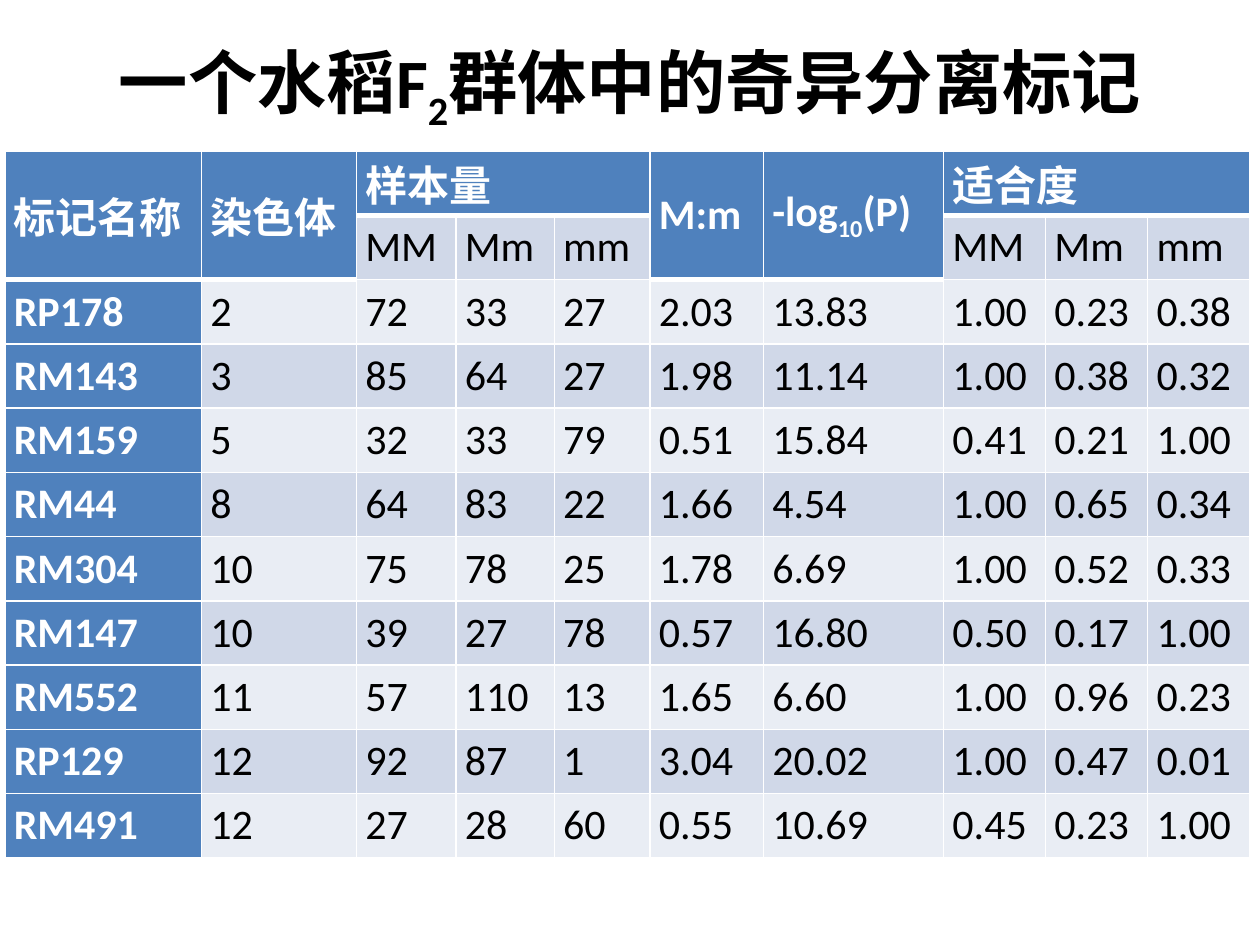
from pptx import Presentation
from pptx import util as u
from pptx.dml.color import RGBColor
from pptx.enum import text
from pptx.oxml import parse_xml
from pptx.oxml.ns import nsdecls

FONT = "Calibri"
WHITE, BLACK, BLUE = "FFFFFF", "000000", "4F81BD"
BANDS = ["E9EDF4", "D0D8E8"]
ROW_HEIGHT = 0.51
COLUMN_WIDTHS = [1.56, 1.23, 0.79, 0.78, 0.76, 0.9, 1.43, 0.81, 0.81, 0.81]
TALL_COLUMNS = (0, 1, 5, 6)      # headings two rows high
WIDE_COLUMNS = (2, 7)            # headings three columns wide
JUSTIFIED_COLUMNS = (1, 6)

HEADINGS = {
    0: ["标记名称"], 1: ["染色体"], 2: ["样本量"], 5: ["M:m"],
    6: ["-log", "10", "(P)"], 7: ["适合度"],
}
MARKERS = """
RP178 2 72 33 27 2.03 13.83 1.00 0.23 0.38
RM143 3 85 64 27 1.98 11.14 1.00 0.38 0.32
RM159 5 32 33 79 0.51 15.84 0.41 0.21 1.00
RM44 8 64 83 22 1.66 4.54 1.00 0.65 0.34
RM304 10 75 78 25 1.78 6.69 1.00 0.52 0.33
RM147 10 39 27 78 0.57 16.80 0.50 0.17 1.00
RM552 11 57 110 13 1.65 6.60 1.00 0.96 0.23
RP129 12 92 87 1 3.04 20.02 1.00 0.47 0.01
RM491 12 27 28 60 0.55 10.69 0.45 0.23 1.00
"""


def color(value):
    return RGBColor.from_string(value)


def write(para, pieces, size, ink, bold):
    """Add the pieces as runs; every second piece is a subscript."""
    for index, piece in enumerate(pieces):
        span = para.add_run()
        span.text = piece
        span.font.name = FONT
        span.font.size = u.Pt(size)
        span.font.bold = bold
        span.font.color.rgb = color(ink)
        if index % 2:
            span.font._element.set("baseline", "-25000")


deck = Presentation()
deck.slide_width, deck.slide_height = u.Inches(10), u.Inches(7.5)
page = deck.slides.add_slide(deck.slide_layouts[6])

# Title
box = page.shapes.add_textbox(u.Inches(0.5), u.Inches(0.3), u.Inches(9), u.Inches(0.77))
frame = box.text_frame
frame.word_wrap = True
frame.vertical_anchor = text.MSO_ANCHOR.MIDDLE
frame.paragraphs[0].alignment = text.PP_ALIGN.CENTER
write(frame.paragraphs[0], ["一个水稻F", "2", "群体中的奇异分离标记"], 39.6, BLACK, True)

# Table contents: two heading rows, then one row per marker
genotypes = {column + step: [name] for column in WIDE_COLUMNS
             for step, name in enumerate(["MM", "Mm", "mm"])}
rows = [HEADINGS, genotypes]
rows += [{column: [value] for column, value in enumerate(line.split())}
         for line in MARKERS.strip().splitlines()]

# Table grid
table = page.shapes.add_table(
    len(rows), len(COLUMN_WIDTHS), u.Inches(0.04), u.Inches(1.2),
    u.Inches(sum(COLUMN_WIDTHS)), u.Inches(ROW_HEIGHT * len(rows))).table
for column, width in enumerate(COLUMN_WIDTHS):
    table.columns[column].width = u.Inches(width)
for row in table.rows:
    row.height = u.Inches(ROW_HEIGHT)
for column in TALL_COLUMNS:
    table.cell(0, column).merge(table.cell(1, column))
for column in WIDE_COLUMNS:
    table.cell(0, column).merge(table.cell(0, column + 2))

# Cells
for row, contents in enumerate(rows):
    for column in range(len(COLUMN_WIDTHS)):
        cell = table.cell(row, column)
        last_heading_row = 1 if column in TALL_COLUMNS else 0
        is_heading = row <= last_heading_row
        is_blue = is_heading or column == 0

        # White borders, thicker under the headings
        weights = {"L": 1, "R": 1,
                   "T": 3 if row == last_heading_row + 1 else 1,
                   "B": 3 if is_heading else 1}
        properties = cell._tc.get_or_add_tcPr()
        for side, weight in weights.items():
            properties.append(parse_xml(
                f'<a:ln{side} {nsdecls("a")} w="{u.Pt(weight)}"><a:solidFill>'
                f'<a:srgbClr val="{WHITE}"/></a:solidFill></a:ln{side}>'))

        cell.fill.solid()
        cell.fill.fore_color.rgb = color(BLUE if is_blue else BANDS[row % 2])
        cell.vertical_anchor = text.MSO_ANCHOR.MIDDLE
        cell.margin_left = cell.margin_right = u.Inches(0.07)
        cell.margin_top = cell.margin_bottom = 0
        if column in contents:
            para = cell.text_frame.paragraphs[0]
            if row < 2 or column in JUSTIFIED_COLUMNS:
                para.alignment = text.PP_ALIGN.JUSTIFY
            write(para, contents[column], 24, WHITE if is_blue else BLACK, is_blue)

deck.save("out.pptx")
